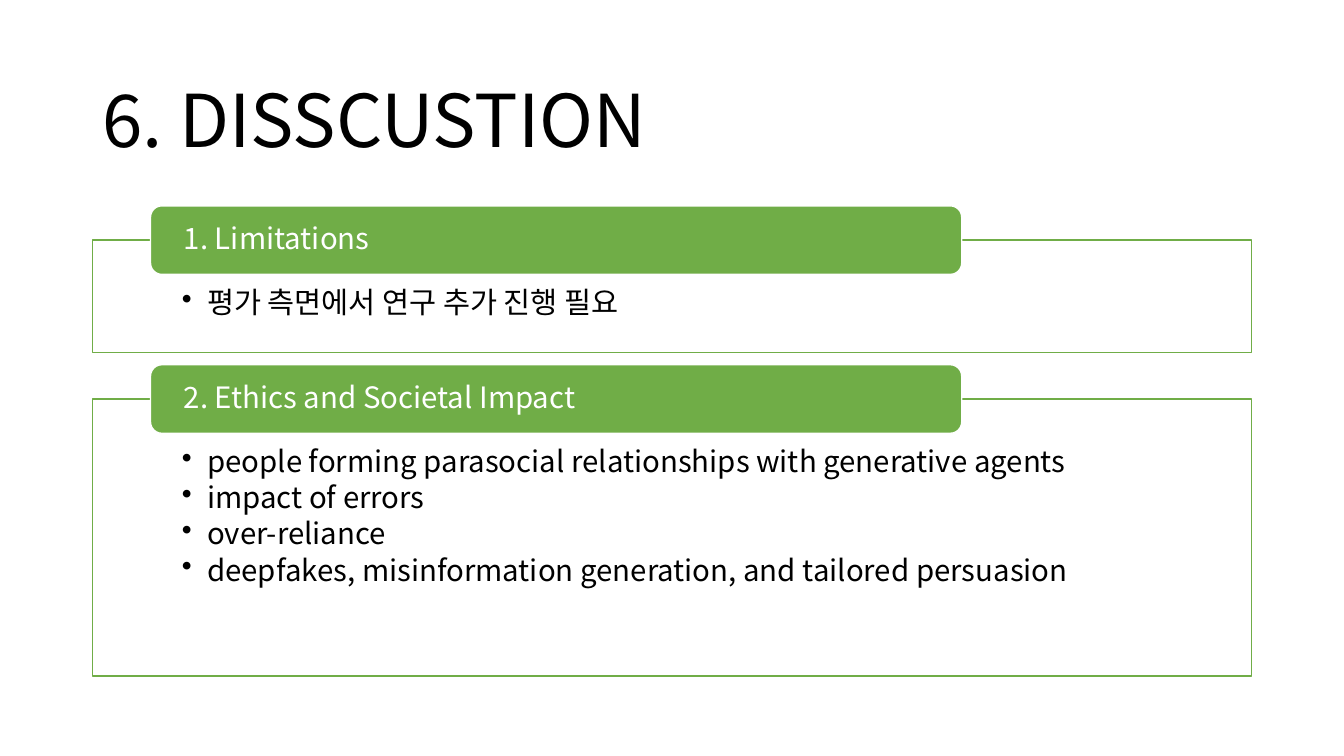
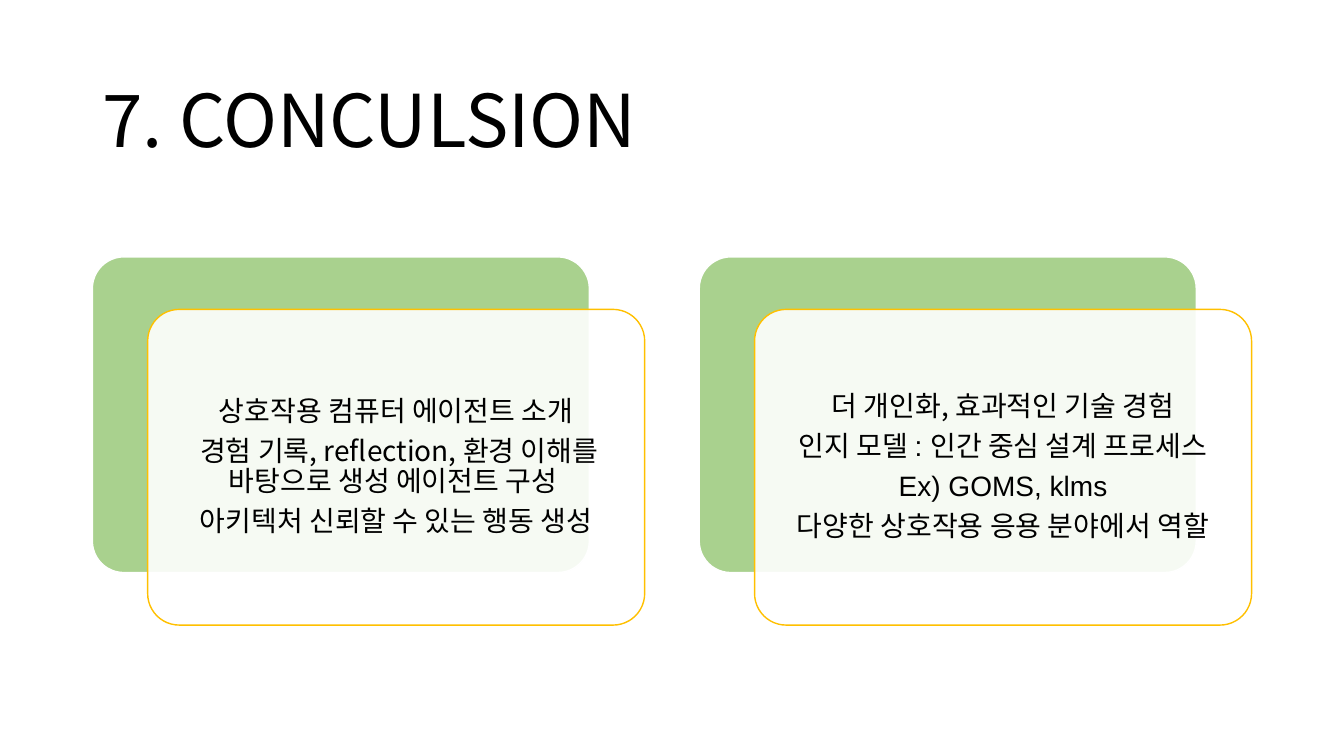
from dataclasses import dataclass

from lxml import etree
from pptx import Presentation
from pptx.dml.color import RGBColor
from pptx.enum import shapes, text
from pptx.oxml import ns
from pptx.util import Pt


@dataclass(frozen=True)
class Theme:
    font: str = "Noto Sans CJK KR"
    alternate_font: str = "Arial"
    black: str = "000000"
    white: str = "FFFFFF"
    green: str = "70AD47"
    light_green: str = "A9D18E"
    gold: str = "FFC000"
    title_size: float = 52
    section_size: float = 21
    card_size: float = 20
    line_spacing: float = 0.9
    left: float = 66
    width: float = 828


@dataclass(frozen=True)
class Box:
    left: float
    top: float
    width: float
    height: float


@dataclass(frozen=True)
class Line:
    words: str
    font: str


@dataclass(frozen=True)
class TextStyle:
    size: float
    color: str
    space_after: float = 0
    align: text.PP_ALIGN = text.PP_ALIGN.LEFT
    anchor: text.MSO_ANCHOR = text.MSO_ANCHOR.MIDDLE
    insets: tuple[float, float, float, float] = (0, 0, 0, 0)
    bullet_indent: float = 0


@dataclass(frozen=True)
class Section:
    heading: str
    bullets: list[Line]
    height: float


THEME = Theme()
RECTANGLE = shapes.MSO_SHAPE.RECTANGLE
ROUNDED = shapes.MSO_SHAPE.ROUNDED_RECTANGLE

TITLE = TextStyle(THEME.title_size, THEME.black, insets=(7.2, 3.6, 7.2, 3.6))
HEADING = TextStyle(THEME.section_size, THEME.white, insets=(21.5, 0, 21.5, 0))
BULLETS = TextStyle(THEME.section_size, THEME.black, 0.15 * THEME.section_size,
                    anchor=text.MSO_ANCHOR.TOP, insets=(64, 34.5, 64, 11.5),
                    bullet_indent=18)
CARD = TextStyle(THEME.card_size, THEME.black, 0.35 * THEME.card_size,
                 text.PP_ALIGN.CENTER, insets=(5.5, 5.5, 5.5, 5.5))


def lines(*words: str, font: str = THEME.font) -> list[Line]:
    return [Line(item, font) for item in words]


SECTIONS = [
    Section("1. Limitations", lines("평가 측면에서 연구 추가 진행 필요"), 80.5),
    Section("2. Ethics and Societal Impact", lines(
        "people forming parasocial relationships with generative agents",
        "impact of errors",
        "over-reliance",
        "deepfakes, misinformation generation, and tailored persuasion"), 198),
]
CARDS = [
    lines("상호작용 컴퓨터 에이전트 소개",
          " 경험 기록, reflection, 환경 이해를 바탕으로 생성 에이전트 구성 ",
          "아키텍처 신뢰할 수 있는 행동 생성"),
    lines("더 개인화, 효과적인 기술 경험")
    + lines("인지 모델 : 인간 중심 설계 프로세스", "Ex) GOMS, klms",
            font=THEME.alternate_font)
    + lines("다양한 상호작용 응용 분야에서 역할"),
]


def add_bullet(para, indent: float) -> None:
    properties = para._p.get_or_add_pPr()
    properties.set("marL", str(Pt(indent)))
    properties.set("indent", str(-Pt(indent)))
    etree.SubElement(properties, ns.qn("a:buChar")).set("char", "•")


def write(shape, content: list[Line], style: TextStyle) -> None:
    frame = shape.text_frame
    frame.word_wrap = True
    frame.vertical_anchor = style.anchor
    (frame.margin_left, frame.margin_top,
     frame.margin_right, frame.margin_bottom) = map(Pt, style.insets)
    for index, line in enumerate(content):
        para = frame.add_paragraph() if index else frame.paragraphs[0]
        para.alignment = style.align
        para.line_spacing = THEME.line_spacing
        para.space_after = Pt(style.space_after)
        if style.bullet_indent:
            add_bullet(para, style.bullet_indent)
        span = para.add_run()
        span.text = line.words
        span.font.size = Pt(style.size)
        span.font.color.rgb = RGBColor.from_string(style.color)
        span.font.name = line.font
        # Korean glyphs always come from the main font.
        east_asian = etree.SubElement(span._r.get_or_add_rPr(), ns.qn("a:ea"))
        east_asian.set("typeface", THEME.font)


def add_panel(page, kind, box: Box, fill: str, outline: str,
              opacity: int = 100, corner: float | None = None):
    panel = page.shapes.add_shape(
        kind, Pt(box.left), Pt(box.top), Pt(box.width), Pt(box.height))
    panel.shadow.inherit = False
    panel.fill.solid()
    panel.fill.fore_color.rgb = RGBColor.from_string(fill)
    panel.line.color.rgb = RGBColor.from_string(outline)
    panel.line.width = Pt(1)
    if opacity < 100:
        color = panel._element.spPr.find(ns.qn("a:solidFill"))[0]
        etree.SubElement(color, ns.qn("a:alpha")).set("val", str(opacity * 1000))
    if corner is not None:
        panel.adjustments[0] = corner
    return panel


def add_page(deck, title: str):
    page = deck.slides.add_slide(deck.slide_layouts[6])
    box = page.shapes.add_textbox(
        Pt(THEME.left), Pt(44), Pt(THEME.width), Pt(89))
    write(box, lines(title), TITLE)
    return page


def add_sections(page, sections: list[Section]) -> None:
    """Stack frames, each with a heading straddling its top edge."""
    heading_height, gap, top = 49, 8.5, 147
    for section in sections:
        frame_top = top + heading_height / 2
        frame = add_panel(
            page, RECTANGLE,
            Box(THEME.left, frame_top, THEME.width, section.height),
            THEME.white, THEME.green, opacity=90)
        write(frame, section.bullets, BULLETS)
        heading = add_panel(
            page, ROUNDED,
            Box(THEME.left + 41.5, top, 579.5, heading_height),
            THEME.green, THEME.white)
        write(heading, lines(section.heading), HEADING)
        top = frame_top + section.height + gap


def add_cards(page, cards: list[list[Line]]) -> None:
    """Place translucent cards side by side, each over an offset backing."""
    top, width, height, shift_x, shift_y = 183.5, 355, 225.5, 39.5, 37.5
    pitch = THEME.width - width - shift_x
    for index, content in enumerate(cards):
        left = THEME.left + index * pitch
        add_panel(page, ROUNDED, Box(left, top, width, height),
                  THEME.light_green, THEME.white, corner=0.1)
        card = add_panel(
            page, ROUNDED, Box(left + shift_x, top + shift_y, width, height),
            THEME.white, THEME.gold, opacity=90, corner=0.1)
        write(card, content, CARD)


def main() -> None:
    deck = Presentation()
    deck.slide_width, deck.slide_height = Pt(960), Pt(540)
    add_sections(add_page(deck, "6. DISSCUSTION"), SECTIONS)
    add_cards(add_page(deck, "7. CONCULSION"), CARDS)
    deck.save("out.pptx")


if __name__ == "__main__":
    main()
